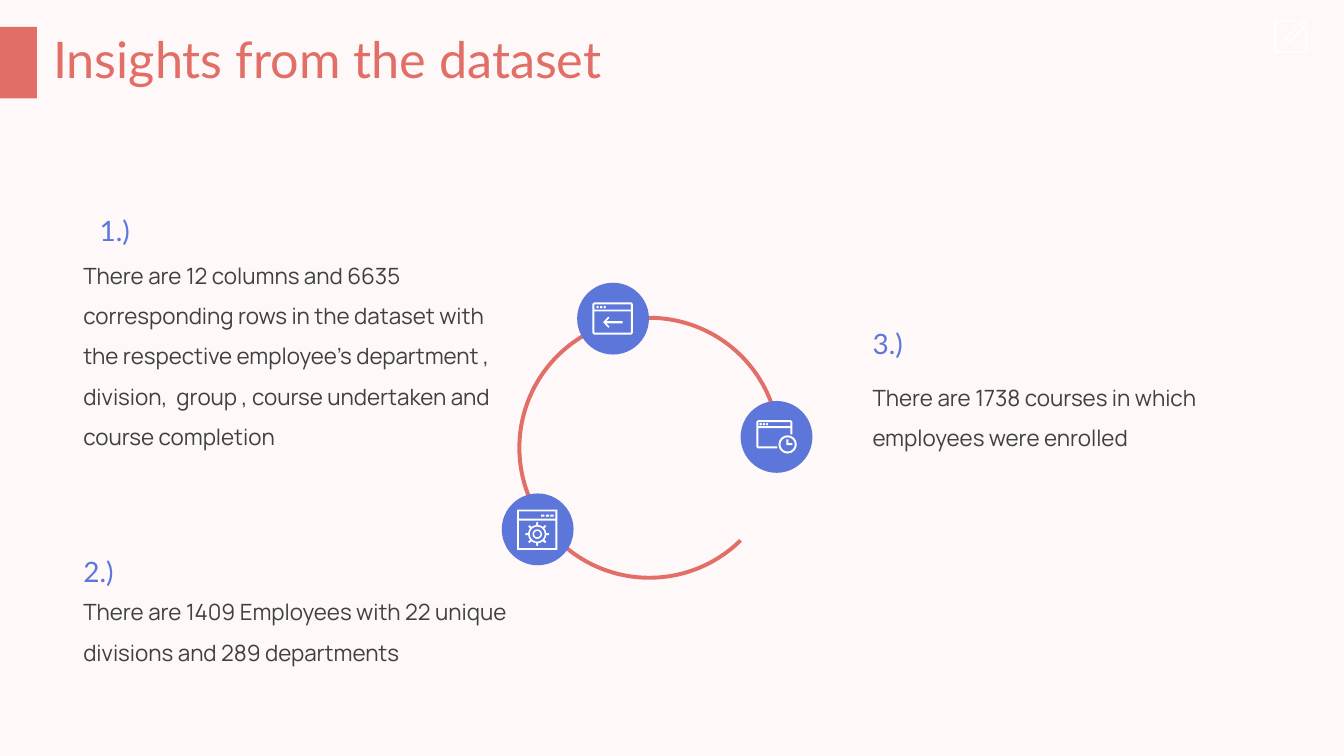
"""Build the slide "Insights from the dataset" with three findings around a ring."""
from math import cos, pi, sin

from pptx import Presentation
from pptx.dml.color import RGBColor
from pptx.enum.shapes import MSO_SHAPE
from pptx.enum.text import MSO_AUTO_SIZE
from pptx.util import Cm, Pt

RECTANGLE, OVAL, ARC = MSO_SHAPE.RECTANGLE, MSO_SHAPE.OVAL, MSO_SHAPE.BLOCK_ARC
GROW = MSO_AUTO_SIZE.SHAPE_TO_FIT_TEXT

CREAM = RGBColor(0xFE, 0xF8, 0xF8)
CORAL = RGBColor(0xE1, 0x6E, 0x67)
BLUE = RGBColor(0x5D, 0x76, 0xDA)
GREY = RGBColor(0x40, 0x40, 0x40)
WHITE = RGBColor(0xFF, 0xFF, 0xFF)

SLIDE_SIZE = (33.87, 19.05)
TITLE = ("Insights from the dataset", (1.09, 0.58, 17.81, 1.8))
FINDINGS = [
    ("3.)", (21.74, 8.1, 7.01, 1.12),
     "There are 1738 courses in which employees were enrolled",
     (21.74, 9.21, 10.13, 2.31)),
    ("1.)", (2.26, 5.26, 7.01, 1.12),
     "There are 12 columns and 6635 corresponding rows in the dataset with the "
     "respective employee’s department , division,  group , course undertaken "
     "and course completion",
     (1.85, 6.14, 10.8, 5.38)),
    ("2.)", (1.85, 13.84, 7.01, 1.12),
     "There are 1409 Employees with 22 unique divisions and 289 departments",
     (1.85, 14.62, 11.58, 2.31)),
]
TAB = (0, 0.68, 0.93, 1.8)
RING = (13.04, 7.96, 6.65, 6.65)
RING_ANGLES = (27.27, 211.88, 0.015)
BADGE_SIZE = 1.81


def box(left, top, right, bottom, cut=0.0):
    """Return the corners of a rectangle, bevelled when cut is given."""
    if not cut:
        return [(left, top), (right, top), (right, bottom), (left, bottom)]
    return [(left + cut, top), (right - cut, top), (right, top + cut),
            (right, bottom - cut), (right - cut, bottom), (left + cut, bottom),
            (left, bottom - cut), (left, top + cut)]


def circle(x, y, radius, count=16):
    """Return evenly spaced points on a circle."""
    angles = [2 * pi * step / count for step in range(count)]
    return [(x + radius * cos(angle), y + radius * sin(angle)) for angle in angles]


def gear(x, y, teeth=8):
    """Return the outline of a toothed wheel."""
    profile = [(-0.11, 0.23), (-0.08, 0.3), (0.08, 0.3), (0.11, 0.23), (pi / teeth, 0.23)]
    return [(x + radius * cos(2 * pi * tooth / teeth + shift),
             y + radius * sin(2 * pi * tooth / teeth + shift))
            for tooth in range(teeth) for shift, radius in profile]


EDIT_ICON = ((32.11, 0.49), [
    [(0.72, 0.02), (0.28, 0.44), (0.28, 0.55), (0.41, 0.57), (0.84, 0.13), (0.73, 0)],
    [(0.4, 0.53), (0.33, 0.53), (0.33, 0.45), (0.64, 0.14), (0.71, 0.2)],
    [(0.79, 0.13), (0.75, 0.18), (0.67, 0.1), (0.71, 0.06)],
    [(0.79, 0.8), (0.05, 0.8), (0.05, 0.05), (0.54, 0.05), (0.54, 0.01),
     (0, 0.01), (0, 0.84), (0.84, 0.84), (0.84, 0.3), (0.79, 0.3)],
])
CLOCK_ICON = ((19.06, 10.59), [
    [(0.04, 0), (0.87, 0), (0.91, 0.04), (0.91, 0.36), (0.86, 0.36), (0.86, 0.2),
     (0.05, 0.2), (0.05, 0.66), (0.53, 0.66), (0.53, 0.71), (0.04, 0.71),
     (0, 0.67), (0, 0.04)],
    box(0.05, 0.05, 0.86, 0.15),
    *[circle(x, 0.1, 0.03, 8) for x in (0.11, 0.19, 0.27)],
    circle(0.79, 0.61, 0.23), circle(0.79, 0.61, 0.18),
    [(0.76, 0.48), (0.81, 0.48), (0.81, 0.58), (0.91, 0.58), (0.91, 0.63), (0.76, 0.63)],
])
ARROW_ICON = ((14.93, 7.62), [
    box(0, 0, 1.02, 0.81, 0.04),
    box(0.05, 0.05, 0.97, 0.18), box(0.05, 0.23, 0.97, 0.76),
    *[circle(x, 0.12, 0.03, 8) for x in (0.13, 0.22, 0.31)],
    [(0.27, 0.5), (0.4, 0.36), (0.43, 0.39), (0.35, 0.47), (0.76, 0.47),
     (0.76, 0.53), (0.35, 0.53), (0.43, 0.61), (0.4, 0.64)],
])
GEAR_ICON = ((13.03, 12.84), [
    box(0, 0, 1.02, 1.02),
    box(0.05, 0.05, 0.97, 0.23), box(0.05, 0.28, 0.97, 0.97),
    *[box(x, 0.13, x + 0.08, 0.18) for x in (0.61, 0.73, 0.84)],
    gear(0.51, 0.62),
    *[circle(0.51, 0.62, radius) for radius in (0.19, 0.12, 0.08)],
])
BADGES = [((19.57, 11.01), CLOCK_ICON), ((15.45, 8.03), ARROW_ICON), ((13.55, 13.34), GEAR_ICON)]


def paint(shape, color):
    shape.shadow.inherit = False
    shape.fill.solid()
    shape.fill.fore_color.rgb = color
    shape.line.fill.background()


def add_solid(slide, kind, bounds, color):
    shape = slide.shapes.add_shape(kind, *map(Cm, bounds))
    paint(shape, color)
    return shape


def add_icon(slide, icon):
    (left, top), contours = icon
    moved = [[(Cm(left + x), Cm(top + y)) for x, y in contour] for contour in contours]
    builder = slide.shapes.build_freeform(*moved[0][0])
    for index, contour in enumerate(moved):
        if index:
            builder.move_to(*contour[0])
        builder.add_line_segments(contour[1:], close=True)
    paint(builder.convert_to_shape(), WHITE)


def add_text(slide, text, bounds, font_name, size, color, spacing=1.0):
    shape = slide.shapes.add_textbox(*map(Cm, bounds))
    frame = shape.text_frame
    frame.word_wrap = True
    frame.auto_size = GROW
    frame.text = text
    paragraph = frame.paragraphs[0]
    paragraph.line_spacing = spacing
    font = paragraph.runs[0].font
    font.name = font_name
    font.size = Pt(size)
    font.color.rgb = color


def main():
    presentation = Presentation()
    presentation.slide_width, presentation.slide_height = map(Cm, SLIDE_SIZE)
    slide = presentation.slides.add_slide(presentation.slide_layouts[6])

    add_solid(slide, RECTANGLE, (0, 0, *SLIDE_SIZE), CREAM)
    add_icon(slide, EDIT_ICON)
    add_solid(slide, RECTANGLE, TAB, CORAL)
    add_text(slide, *TITLE, "Lato", 36, CORAL)

    ring = add_solid(slide, ARC, RING, CORAL)
    for index, value in enumerate(RING_ANGLES):
        ring.adjustments[index] = value
    for center, icon in BADGES:
        left, top = (middle - BADGE_SIZE / 2 for middle in center)
        add_solid(slide, OVAL, (left, top, BADGE_SIZE, BADGE_SIZE), BLUE)
        add_icon(slide, icon)

    for number, number_bounds, text, text_bounds in FINDINGS:
        add_text(slide, number, number_bounds, "Lato", 20, BLUE)
        add_text(slide, text, text_bounds, "Manrope", 16, GREY, 1.5)
    presentation.save("out.pptx")


if __name__ == "__main__":
    main()
